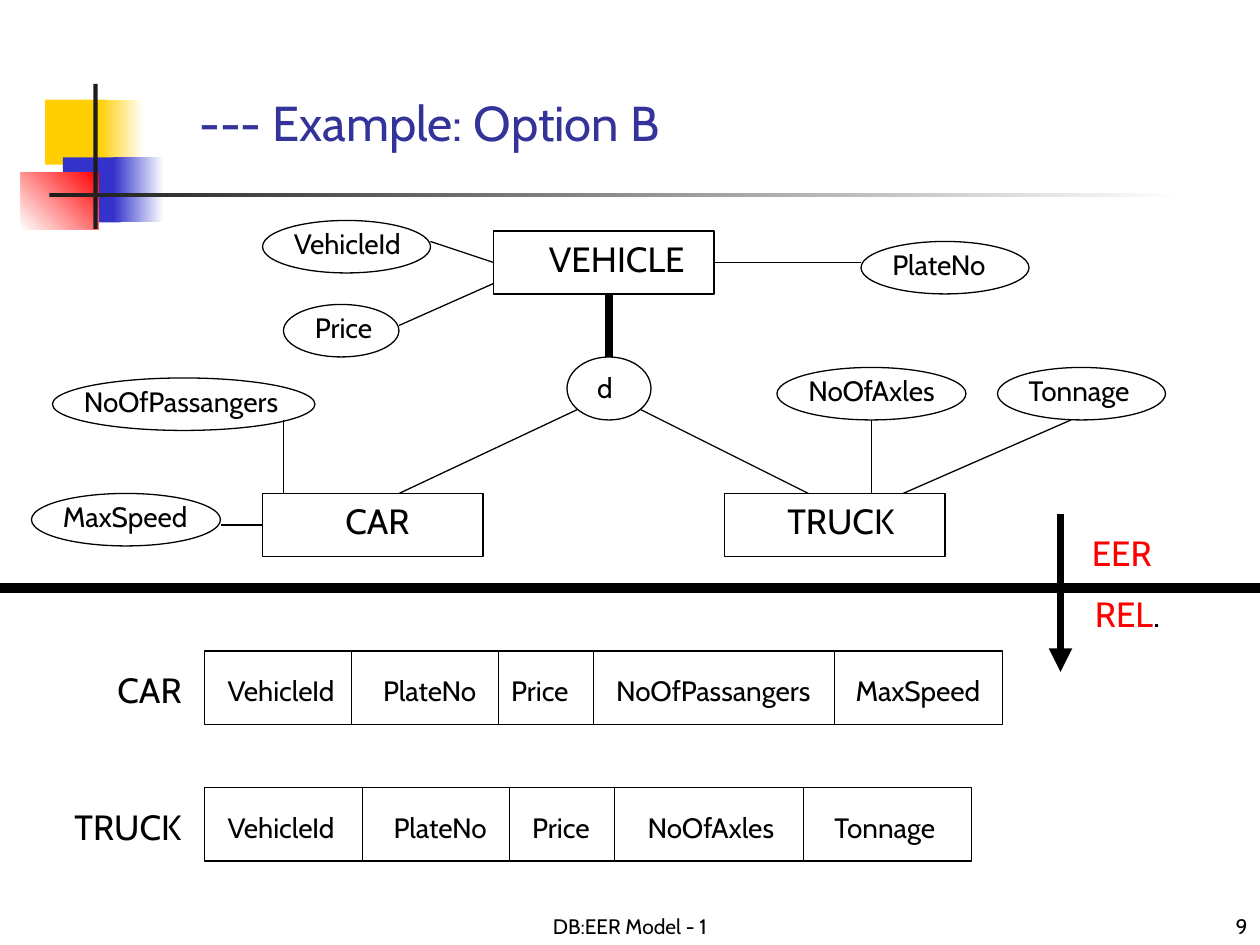
from lxml import etree
from pptx import Presentation
from pptx.dml.color import RGBColor
from pptx.enum.shapes import MSO_CONNECTOR, MSO_SHAPE
from pptx.enum.text import MSO_ANCHOR, PP_ALIGN
from pptx.oxml.ns import qn
from pptx.util import Inches, Pt

RECT, OVAL = MSO_SHAPE.RECTANGLE, MSO_SHAPE.OVAL
LEFT, CENTER, RIGHT = PP_ALIGN.LEFT, PP_ALIGN.CENTER, PP_ALIGN.RIGHT
TOP, BOTTOM = MSO_ANCHOR.TOP, MSO_ANCHOR.BOTTOM
SIDE_TOP, SIDE_LEFT, SIDE_RIGHT = 0, 1, 3
FONT = "Cabin"
COLORS = {"ink": "000000", "title": "333399", "accent": "FF0000", "bar": "1C1C1C",
          "yellow": "FFCF01", "blue": "3333CC", "red": "FF0000", "white": "FFFFFF"}
COLUMNS, ROWS = 120, 90  # twelve grid cells to the inch


def grid(*cells):
    return [Inches(cell / 12) for cell in cells]


def color(name):
    return RGBColor.from_string(COLORS[name])


def style(paragraph, size, ink="ink", align=LEFT):
    paragraph.alignment = align
    paragraph.font.name = FONT
    paragraph.font.size = Pt(size)
    paragraph.font.color.rgb = color(ink)


def add_label(slide, box, text, size, ink="ink", align=LEFT, anchor=TOP):
    frame = slide.shapes.add_textbox(*grid(*box)).text_frame
    frame.word_wrap = True
    frame.vertical_anchor = anchor
    paragraph = frame.paragraphs[0]
    paragraph.text = text
    style(paragraph, size, ink, align)
    return paragraph


def add_outline(slide, kind, box):
    outline = slide.shapes.add_shape(kind, *grid(*box))
    outline.shadow.inherit = False
    outline.fill.background()
    outline.line.color.rgb = color("ink")
    outline.line.width = Pt(0.75)
    return outline


def add_line(slide, start, end, width=0.75, arrow=False):
    line = slide.shapes.add_connector(MSO_CONNECTOR.STRAIGHT, *grid(*start, *end))
    line.line.color.rgb = color("ink")
    line.line.width = Pt(width)
    properties = line._element.spPr
    if arrow:
        etree.SubElement(properties.find(qn("a:ln")), qn("a:tailEnd"), type="triangle")
    etree.SubElement(properties, qn("a:effectLst"))
    return line


def add_labelled(slide, kind, box, text, size, indent, drop=0):
    """Outline whose left-aligned label starts at the given indent and drop."""
    x, y, w, h = box
    outline = add_outline(slide, kind, box)
    add_label(slide, (x + indent, y + drop, w - indent, 4.4), text, size)
    return outline


def add_decoration(slide, x, y):
    blocks = [
        ((2.3, 1.5, 5.8, 6.2), ["yellow"], 0),
        ((7.4, 1.5, 4.3, 6.2), ["yellow", "white"], 0),
        ((4, 7, 5.5, 6.2), ["blue"], 0),
        ((8.8, 7, 4.8, 6.2), ["blue", "white"], 0),
        ((0, 8.4, 7.4, 5.5), ["white", "red"], 45),
        ((6.9, 0, 0.4, 13.8), ["bar"], 0),
        ((2.7, 10.35, 108, 0.4), ["bar", "white"], 0),
    ]
    for (dx, dy, w, h), tones, angle in blocks:
        block = slide.shapes.add_shape(RECT, *grid(x + dx, y + dy, w, h))
        block.shadow.inherit = False
        block.line.fill.background()
        if len(tones) == 1:
            block.fill.solid()
            block.fill.fore_color.rgb = color(tones[0])
            continue
        block.fill.gradient()
        block.fill.gradient_angle = angle
        for stop, tone, position in zip(block.fill.gradient_stops, tones, (0, 1)):
            stop.color.rgb = color(tone)
            stop.position = position


def add_title(slide, box):
    title = slide.shapes.title
    title.left, title.top, title.width, title.height = grid(*box)
    title.text_frame.text = "--- Example: Option B"
    title.text_frame.vertical_anchor = BOTTOM
    style(title.text_frame.paragraphs[0], 28, "title")


def add_eer_diagram(slide, x, y):
    entities = {}
    for name, dx, dy, indent in [("VEHICLE", 44, 1, 4.1), ("CAR", 22, 26, 6.7),
                                 ("TRUCK", 66, 26, 4.8)]:
        entities[name] = add_labelled(slide, RECT, (x + dx, y + dy, 21, 6), name, 20, indent)
    disjoint = add_labelled(slide, OVAL, (x + 51, y + 13, 8, 6), "d", 16, 1.7, 0.7)

    for name, dx, dy, w in [("VehicleId", 22, 0, 16), ("Price", 24, 8, 11),
                            ("PlateNo", 79, 2, 16), ("NoOfAxles", 71, 14, 18),
                            ("Tonnage", 92, 14, 16), ("NoOfPassangers", 2, 15, 25),
                            ("MaxSpeed", 0, 26, 18)]:
        add_labelled(slide, OVAL, (x + dx, y + dy, w, 5), name, 16, 1.8)

    def link(start, end, width=0.75):
        return add_line(slide, (x + start[0], y + start[1]), (x + end[0], y + end[1]), width)

    for start, end in [((52, 18), (35, 26)), ((58, 18), (74, 26)), ((44, 6), (35, 10)),
                       ((80, 19), (80, 26)), ((83, 26), (99, 19)), ((24, 19), (24, 26))]:
        link(start, end)
    link((55, 7), (55, 13), 4.5).end_connect(disjoint, SIDE_TOP)
    link((65, 4), (79, 4)).begin_connect(entities["VEHICLE"], SIDE_RIGHT)
    link((38, 2), (44, 4)).end_connect(entities["VEHICLE"], SIDE_LEFT)
    link((18, 29), (22, 29)).end_connect(entities["CAR"], SIDE_LEFT)


def add_mapping_divider(slide, y):
    """Line between the two models, with the arrow from EER to REL."""
    add_line(slide, (0, y), (COLUMNS, y), 6)
    add_line(slide, (101, y - 7), (101, y + 8), 4.5, arrow=True)
    add_label(slide, (102.8, y - 6, 10, 5.3), "EER", 20, "accent")
    relational = add_label(slide, (103.1, y - 0.2, 10, 5.3), "REL", 20, "accent")
    period = relational.add_run()
    period.text = "."
    period.font.color.rgb = color("ink")


def add_relation(slide, x, y, name, name_x, fields):
    """Relation row; each field is (name, columns, label indent)."""
    height = 7
    add_label(slide, (name_x, y + 1.1, x - name_x, 5.3), name, 20)
    add_outline(slide, RECT, (x, y, sum(field[1] for field in fields), height))
    left = x
    for field, width, indent in fields:
        if left > x:
            add_line(slide, (left, y), (left, y + height))
        add_label(slide, (left + indent, y + 1.6, width - indent, 4.4), field, 16)
        left += width


def add_footer(slide, y):
    add_label(slide, (41, y, 38, 5), "DB:EER Model - 1", 12, align=CENTER, anchor=BOTTOM)
    add_label(slide, (95, y, 25, 5), "9", 12, align=RIGHT, anchor=BOTTOM)


def main():
    presentation = Presentation()
    presentation.slide_width, presentation.slide_height = grid(COLUMNS, ROWS)
    slide = presentation.slides.add_slide(presentation.slide_layouts[5])
    add_decoration(slide, 2, 8)
    add_title(slide, (17.8, 7, 102.2, 8))
    add_eer_diagram(slide, 3, 21)
    add_mapping_divider(slide, 56)
    add_relation(slide, 19.5, 62, "CAR", 10, [
        ("VehicleId", 14, 1), ("PlateNo", 14, 1.8), ("Price", 9, 0),
        ("NoOfPassangers", 23, 1), ("MaxSpeed", 16, 0.8)])
    add_relation(slide, 19.5, 75, "TRUCK", 5.9, [
        ("VehicleId", 15, 1), ("PlateNo", 14, 1.8), ("Price", 10, 1),
        ("NoOfAxles", 18, 2), ("Tonnage", 16, 1.8)])
    add_footer(slide, 85)
    presentation.save("out.pptx")


if __name__ == "__main__":
    main()
